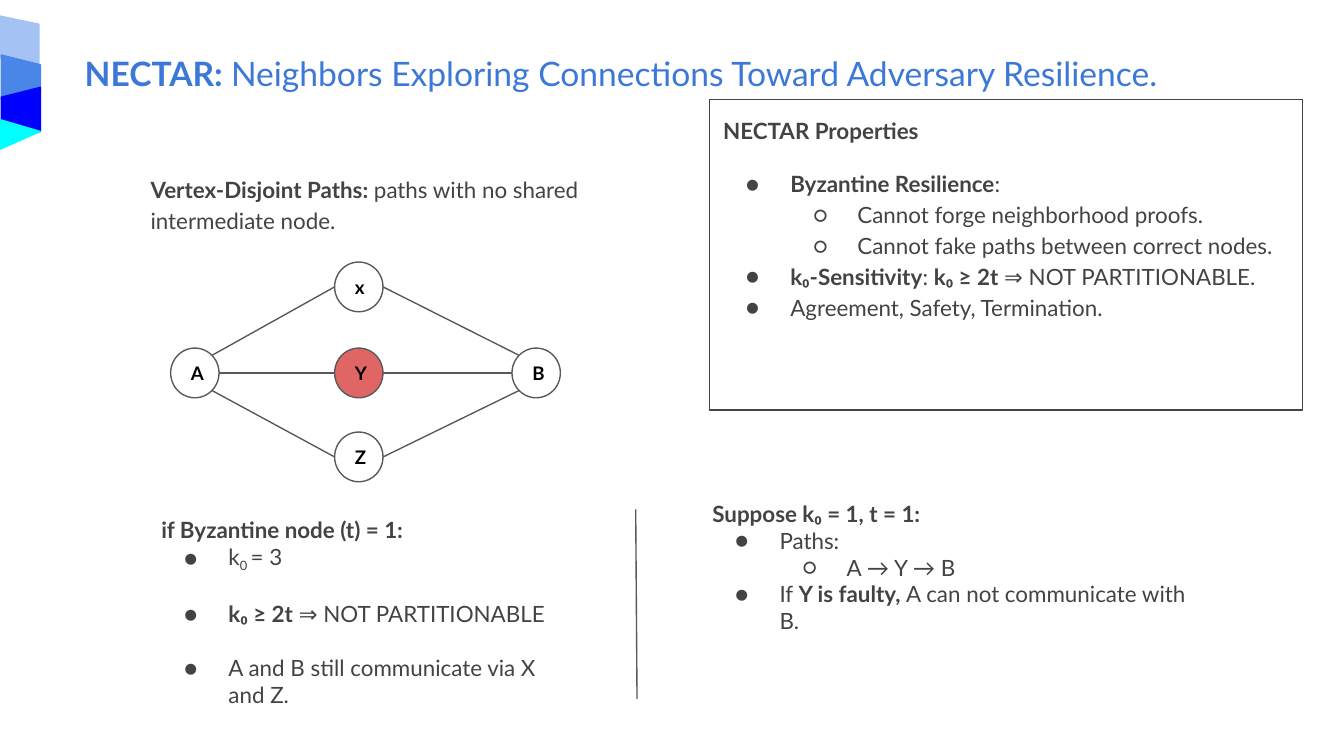
import math

import pptx
import pptx.dml.color
import pptx.enum.shapes
import pptx.enum.text
import pptx.oxml.ns
import pptx.util
from lxml import etree

RGB = pptx.dml.color.RGBColor
SHAPE = pptx.enum.shapes.MSO_SHAPE
ALIGN = pptx.enum.text.PP_ALIGN
ANCHOR = pptx.enum.text.MSO_ANCHOR

TITLE_BLUE = RGB(0x3C, 0x78, 0xD8)
TEXT_GRAY = RGB(0x43, 0x43, 0x43)
LINE_GRAY = RGB(0x59, 0x59, 0x59)
BLACK = RGB(0x00, 0x00, 0x00)
WHITE = RGB(0xFF, 0xFF, 0xFF)
FAULTY_RED = RGB(0xE0, 0x66, 0x66)
PALE_BLUE = RGB(0xA4, 0xC2, 0xF4)
MID_BLUE = RGB(0x4A, 0x86, 0xE8)
PURE_BLUE = RGB(0x00, 0x00, 0xFF)
CYAN = RGB(0x00, 0xFF, 0xFF)

COLS, ROWS = 100, 56.25
BULLETS = "●○"
BOLD, SUB = "bold", "sub"


class Deck:
    """Style and current slide; lengths are columns and rows of a 100 x 56.25 grid."""

    font = "Lato"
    line_width = pptx.util.Pt(0.75)
    inset = pptx.util.Inches(0.1)
    node_size = (3.6, 3.7)

    def __init__(self, prs, layout):
        self.prs = prs
        self.s = prs.slides.add_slide(prs.slide_layouts[layout])

    def grid(self, x, y):
        return (round(x * self.prs.slide_width / COLS),
                round(y * self.prs.slide_height / ROWS))

    def place(self, sp, x, y, w, h):
        sp.left, sp.top = self.grid(x, y)
        sp.width, sp.height = self.grid(w, h)

    def frame(self, sp, anchor):
        tf = sp.text_frame
        tf.word_wrap = True
        tf.auto_size = pptx.enum.text.MSO_AUTO_SIZE.NONE
        tf.vertical_anchor = anchor
        tf.margin_left = tf.margin_right = self.inset
        tf.margin_top = tf.margin_bottom = self.inset
        return tf

    def bullet(self, p, level):
        pPr = p._p.get_or_add_pPr()
        indent = 0 if level is None else -0.33
        left = 0 if level is None else 0.5 * (level + 1)
        pPr.set("marL", str(pptx.util.Inches(left)))
        pPr.set("indent", str(pptx.util.Inches(indent)))
        qn = pptx.oxml.ns.qn
        if level is None:
            etree.SubElement(pPr, qn("a:buNone"))
            return
        p.level = level
        color = etree.SubElement(pPr, qn("a:buClr"))
        etree.SubElement(color, qn("a:srgbClr")).set("val", str(TEXT_GRAY))
        etree.SubElement(pPr, qn("a:buFont")).set("typeface", self.font)
        etree.SubElement(pPr, qn("a:buChar")).set("char", BULLETS[level])

    def add_runs(self, p, runs, size, color):
        for text, style in runs:
            r = p.add_run()
            r.text = text
            r.font.name = self.font
            r.font.size = pptx.util.Pt(size)
            r.font.color.rgb = color
            r.font.bold = style == BOLD
            if style == SUB:
                r.font._element.set("baseline", "-25000")

    def title(self, box, runs):
        sp = self.s.shapes.title
        self.place(sp, *box)
        p = self.frame(sp, ANCHOR.TOP).paragraphs[0]
        p.alignment = ALIGN.LEFT
        self.add_runs(p, runs, 18, TITLE_BLUE)

    def body(self, idx, box, items, spacing=1.0):
        """Fill a body placeholder; each item is (level, space before, runs)."""
        sp = self.s.placeholders[idx]
        self.place(sp, *box)
        tf = self.frame(sp, ANCHOR.TOP)
        for i, (level, before, runs) in enumerate(items):
            p = tf.add_paragraph() if i else tf.paragraphs[0]
            self.bullet(p, level)
            p.alignment = ALIGN.LEFT
            p.line_spacing = spacing
            p.space_before = pptx.util.Pt(before)
            self.add_runs(p, runs, 12, TEXT_GRAY)
        return sp

    def shape(self, kind, box, fill, line):
        sp = self.s.shapes.add_shape(kind, 0, 0, 0, 0)
        self.place(sp, *box)
        sp.shadow.inherit = False
        sp.fill.solid()
        sp.fill.fore_color.rgb = fill
        sp.line.color.rgb = line
        sp.line.width = self.line_width
        return sp

    def ribbon(self, kind, box, color, rotation, adjust):
        sp = self.shape(kind, box, color, color)
        sp.rotation = rotation
        sp.adjustments[0] = adjust

    def node(self, label, center, fill=WHITE):
        (x, y), (w, h) = center, self.node_size
        sp = self.shape(SHAPE.OVAL, (x - w / 2, y - h / 2, w, h), fill, LINE_GRAY)
        p = self.frame(sp, ANCHOR.MIDDLE).paragraphs[0]
        p.alignment = ALIGN.CENTER
        self.add_runs(p, [(label, BOLD)], 10, BLACK)

    def line(self, start, end):
        straight = pptx.enum.shapes.MSO_CONNECTOR.STRAIGHT
        sp = self.s.shapes.add_connector(straight, *self.grid(*start), *self.grid(*end))
        sp.line.color.rgb = LINE_GRAY
        sp.line.width = self.line_width
        etree.SubElement(sp._element.spPr, pptx.oxml.ns.qn("a:effectLst"))

    def rim(self, center, degrees):
        """Point on a node's outline, clockwise from its right side."""
        a = math.radians(degrees)
        return (center[0] + self.node_size[0] / 2 * math.cos(a),
                center[1] + self.node_size[1] / 2 * math.sin(a))


def main():
    prs = pptx.Presentation()
    prs.slide_width = pptx.util.Inches(10)
    prs.slide_height = pptx.util.Inches(5.625)
    deck = Deck(prs, 4)  # title with four body placeholders

    # Title
    deck.title((5.3, 2.9, 90, 3.6), [
        ("NECTAR: ", BOLD),
        ("Neighbors Exploring Connections Toward Adversary Resilience.", None)])

    # Corner ribbon
    deck.ribbon(SHAPE.PARALLELOGRAM, (-0.4, 1.6, 3.7, 2.9), PALE_BLUE, 90, 0.21)
    deck.ribbon(SHAPE.TRAPEZOID, (-0.1, 4.3, 3.3, 2.9), MID_BLUE, 90, 0.25)
    deck.ribbon(SHAPE.TRAPEZOID, (-0.1, 6.7, 3.3, 2.9), PURE_BLUE, 270, 0.25)
    deck.ribbon(SHAPE.ISOSCELES_TRIANGLE, (0.4, 8.5, 2.2, 3), CYAN, 90, 0.4)

    # Framed properties
    box = deck.body(2, (52.8, 7.4, 44.1, 23.1), [
        (None, 0, [("NECTAR Properties", BOLD)]),
        (0, 12, [("Byzantine Resilience", BOLD), (":", None)]),
        (1, 0, [("Cannot forge neighborhood proofs.", None)]),
        (1, 0, [("Cannot fake paths between correct nodes.", None)]),
        (0, 0, [("k₀-Sensitivity", BOLD), (": ", None), ("k₀ ≥ 2t", BOLD),
                (" ⇒ NOT PARTITIONABLE.", None)]),
        (0, 0, [("Agreement, Safety, Termination.", None)])], 1.15)
    box.line.color.rgb = TEXT_GRAY
    box.line.width = deck.line_width

    # Definition
    deck.body(1, (10.2, 11.8, 36.4, 6.9), [
        (None, 0, [("Vertex-Disjoint Paths: ", BOLD),
                   ("paths with no shared intermediate node.", None)])], 1.15)

    # Graph: three paths from A to B
    middle = 27.75
    a, b = (14.5, middle), (39.9, middle)
    deck.node("A", a)
    deck.node("B", b)
    paths = [("x", 21.35, -45, WHITE), ("Y", middle, 0, FAULTY_RED), ("Z", 34, 45, WHITE)]
    for label, y, angle, fill in paths:
        center = (26.7, y)
        deck.node(label, center, fill)
        deck.line(deck.rim(a, angle), deck.rim(center, 180))
        deck.line(deck.rim(center, 0), deck.rim(b, 180 - angle))

    # Two cases and their divider
    deck.line((47.3, 37.9), (47.4, 52))
    deck.body(3, (11, 37.4, 32.7, 15.8), [
        (None, 0, [("if Byzantine node (t) = 1:", BOLD)]),
        (0, 0, [("k", None), ("0 ", SUB), ("= 3", None)]),
        (0, 14.4, [("k₀ ≥ 2t", BOLD), (" ⇒ NOT PARTITIONABLE", None)]),
        (0, 14.4, [("A and B still communicate via X and Z.", None)])])
    deck.body(4, (52, 36.2, 37.5, 15.8), [
        (None, 0, [("Suppose k₀ = 1, t = 1:", BOLD)]),
        (0, 0, [("Paths:", None)]),
        (1, 0, [("A → Y → B", None)]),
        (0, 0, [("If ", None), ("Y is faulty, ", BOLD),
                ("A can not communicate with B.", None)])])

    prs.save("out.pptx")


if __name__ == "__main__":
    main()
